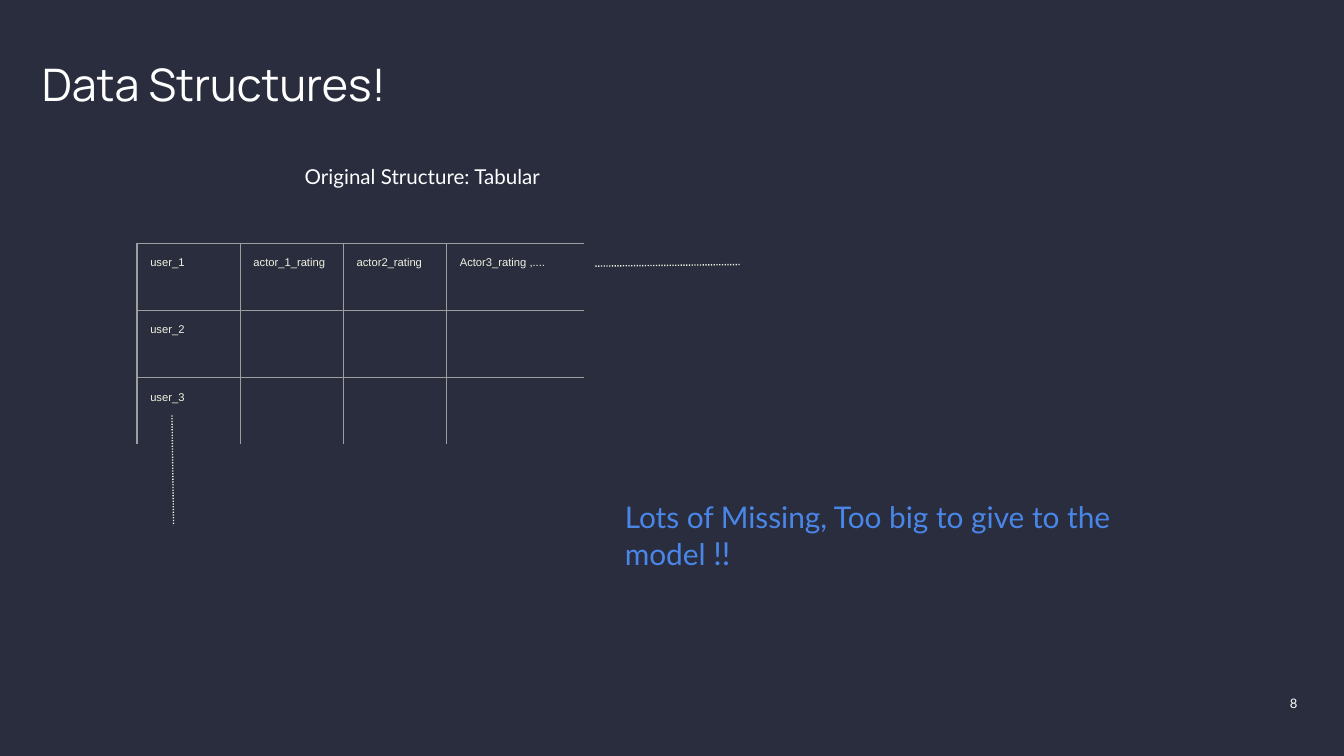
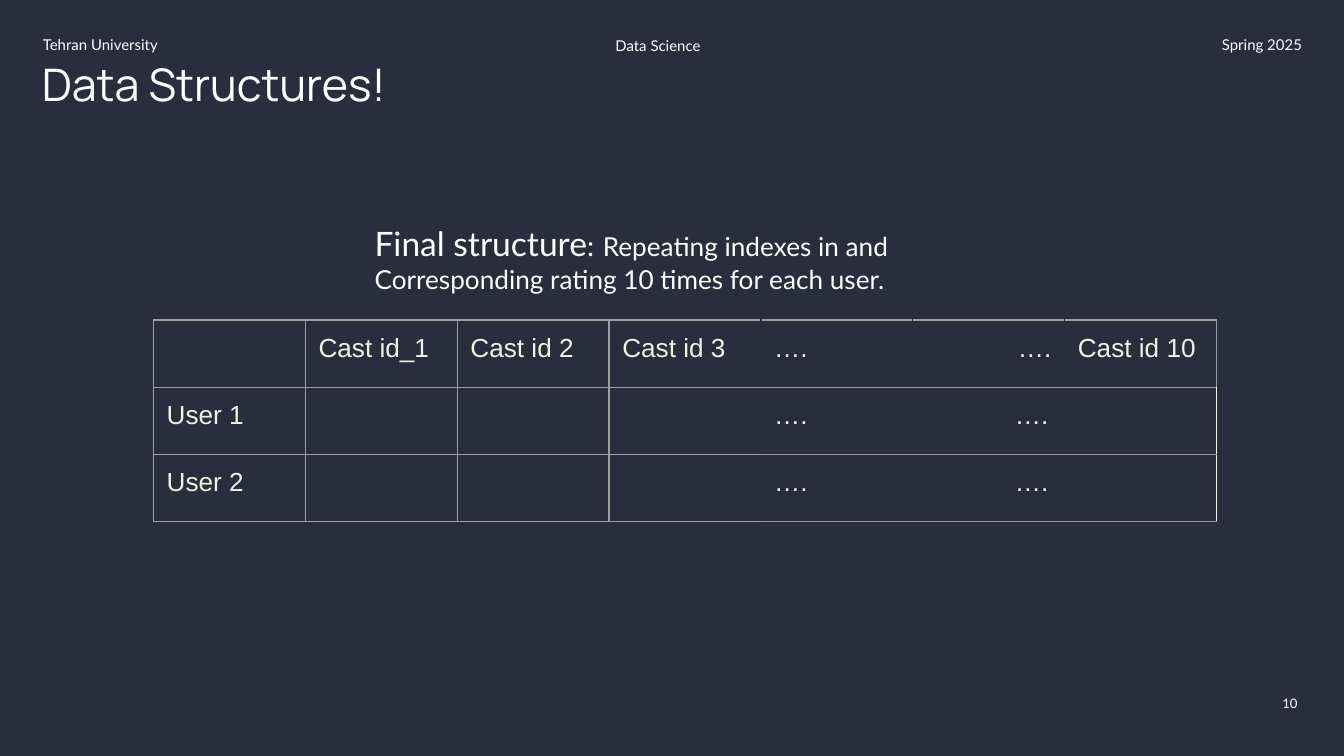
import pptx
import pptx.util
import pptx.dml.color
import pptx.enum.dml
import pptx.enum.shapes
import pptx.enum.text
import pptx.oxml.ns
import lxml.etree
import dataclasses

Cm = pptx.util.Cm
Pt = pptx.util.Pt
RGB = pptx.dml.color.RGBColor.from_string
Align = pptx.enum.text.PP_ALIGN
Anchor = pptx.enum.text.MSO_ANCHOR


@dataclasses.dataclass(frozen=True)
class Theme:
    night: str = "292D3E"
    white: str = "FFFFFF"
    cream: str = "F1F2DF"
    blue: str = "4A86E8"
    grid: str = "9E9E9E"
    grid_dim: str = "999999"
    title_font: str = "Manrope"
    text_font: str = "Lato"
    table_font: str = "Arial"
    title_size: float = 24
    lead_size: float = 18
    note_size: float = 16
    body_size: float = 14
    caption_size: float = 11
    header_size: float = 8
    number_size: float = 7
    small_size: float = 6
    rule: float = 0.75


theme = Theme()


def add_text(slide, place, parts, color=theme.white, align=Align.LEFT, inset=0.25):
    box = slide.shapes.add_textbox(*map(Cm, place))
    frame = box.text_frame
    frame.word_wrap = True
    frame.margin_left = frame.margin_right = Cm(inset)
    frame.margin_top = frame.margin_bottom = Cm(inset)
    paragraph = frame.paragraphs[0]
    paragraph.alignment = align
    for words, size in parts:
        run = paragraph.add_run()
        run.text = words
        run.font.name = theme.text_font
        run.font.size = Pt(size)
        run.font.color.rgb = RGB(color)
    return frame


def add_grid(slide, left, top, widths, rows, size, border_color):
    row_height = 1.27
    grid = slide.shapes.add_table(len(rows), len(widths), Cm(left), Cm(top),
                                  Cm(sum(widths)), Cm(row_height * len(rows))).table
    grid.first_row = grid.horz_banding = False
    for column, width in zip(grid.columns, widths):
        column.width = Cm(width)
    for r, row in enumerate(rows):
        grid.rows[r].height = Cm(row_height)
        for c in range(len(widths)):
            cell = grid.cell(r, c)
            cell.margin_left = cell.margin_right = Cm(0.25)
            cell.margin_top = cell.margin_bottom = Cm(0.25)
            cell.text_frame.text = row.get(c, "")
            paragraph = cell.text_frame.paragraphs[0]
            paragraph.font.size = Pt(size)
            for run in paragraph.runs:
                run.font.name = theme.table_font
                run.font.size = Pt(size)
                run.font.color.rgb = RGB(theme.cream)
            properties = cell._tc.get_or_add_tcPr()
            for side in "LRTB":
                line = lxml.etree.SubElement(properties, pptx.oxml.ns.qn(f"a:ln{side}"),
                                             w=str(Pt(theme.rule)))
                fill = lxml.etree.SubElement(line, pptx.oxml.ns.qn("a:solidFill"))
                lxml.etree.SubElement(fill, pptx.oxml.ns.qn("a:srgbClr"),
                                      val=border_color(r, c, side))
            cell.fill.background()
    return grid


deck = pptx.Presentation()
deck.slide_width = Cm(25.4)
deck.slide_height = Cm(14.29)
deck.slide_master.background.fill.solid()
deck.slide_master.background.fill.fore_color.rgb = RGB(theme.night)

slides = []
for number in ("8", "10"):
    slide = deck.slides.add_slide(deck.slide_layouts[5])
    add_text(slide, (18.67, 13, 6.1, 0.81), [(number, theme.number_size)], align=Align.RIGHT)
    title = slide.shapes.title
    title.left, title.top, title.width, title.height = map(Cm, (0.79, 1.19, 12.17, 1.19))
    heading = title.text_frame
    heading.text = "Data Structures!"
    heading.auto_size = pptx.enum.text.MSO_AUTO_SIZE.NONE
    heading.vertical_anchor = Anchor.TOP
    heading.margin_left = heading.margin_top = heading.margin_bottom = 0
    heading.margin_right = Cm(0.25)
    heading.paragraphs[0].alignment = Align.LEFT
    heading.paragraphs[0].line_spacing = 0.9
    heading_font = heading.paragraphs[0].runs[0].font
    heading_font.name = theme.title_font
    heading_font.size = Pt(theme.title_size)
    heading_font.color.rgb = RGB(theme.white)
    slides.append(slide)
tabular, final = slides

add_text(tabular, (5.51, 2.87, 11.76, 1.1),
         [("Original Structure: Tabular", theme.caption_size)])

ratings = [
    {0: "user_1", 1: "actor_1_rating", 2: "actor2_rating", 3: "Actor3_rating ,...."},
    {0: "user_2"},
    {0: "user_3"},
]
add_grid(tabular, 2.59, 4.6, [1.95] * 3 + [2.6, 1.3] + [1.95] * 5, ratings, theme.small_size,
         lambda r, c, side: theme.night
         if c > 3 or (c == 3 and side == "R") or (r == 2 and side == "B") else theme.grid)

for start_x, start_y, end_x, end_y in ((3.25, 7.85, 3.28, 9.93), (11.25, 5.03, 14, 5)):
    continuation = tabular.shapes.add_connector(
        pptx.enum.shapes.MSO_CONNECTOR.STRAIGHT,
        Cm(start_x), Cm(start_y), Cm(end_x), Cm(end_y))
    continuation.line.color.rgb = RGB(theme.cream)
    continuation.line.width = Pt(theme.rule)
    continuation.line.dash_style = pptx.enum.dml.MSO_LINE.ROUND_DOT
    lxml.etree.SubElement(continuation._element.spPr, pptx.oxml.ns.qn("a:effectLst"))

add_text(tabular, (11.56, 9.17, 11.76, 1.9),
         [("Lots of Missing, Too big to give to the model ", theme.note_size),
          ("!!", theme.note_size + 1)], color=theme.blue)

add_text(final, (6.83, 3.96, 11.76, 1.88),
         [("Final structure", theme.lead_size), (":", 15), (" ", theme.lead_size),
          ("Repeating indexes in and Corresponding rating 10 times for each user.",
           theme.body_size)])


def cast_border(r, c, side):
    if (side == "R" and 3 <= c < 6) or (side == "L" and c > 3):
        return theme.night
    if side == "R" and c == 6 and r > 0:
        return theme.cream
    if c > 3 and (side == "B" or (side == "T" and r > 0)):
        return theme.grid_dim
    return theme.grid


dots = "…."
casts = [
    {1: "Cast id_1", 2: "Cast id 2", 3: "Cast id 3", 4: dots, 5: dots, 6: "Cast id 10"},
    {0: "User 1", 4: dots, 5: dots},
    {0: "User 2", 4: dots, 5: dots},
]
cast_grid = add_grid(final, 2.9, 6.05, [2.87] * 7, casts, theme.body_size, cast_border)
cast_grid.cell(0, 5).text_frame.paragraphs[0].alignment = Align.RIGHT
for r in (1, 2):
    cast_grid.cell(r, 5).margin_left = Cm(1.93)
    cast_grid.cell(r, 5).margin_right = 0

for words, place, align in (
    ("Tehran University", (0.81, 0.46, 5.87, 0.61), Align.LEFT),
    ("Data Science", (11.63, 0.48, 4.93, 0.61), Align.LEFT),
    ("Spring 2025", (18.26, 0.46, 6.35, 0.61), Align.RIGHT),
):
    header = add_text(final, place, [(words, theme.header_size)], align=align, inset=0)
    header.vertical_anchor = Anchor.MIDDLE
    header.paragraphs[0].line_spacing = 1.5

deck.save("out.pptx")
